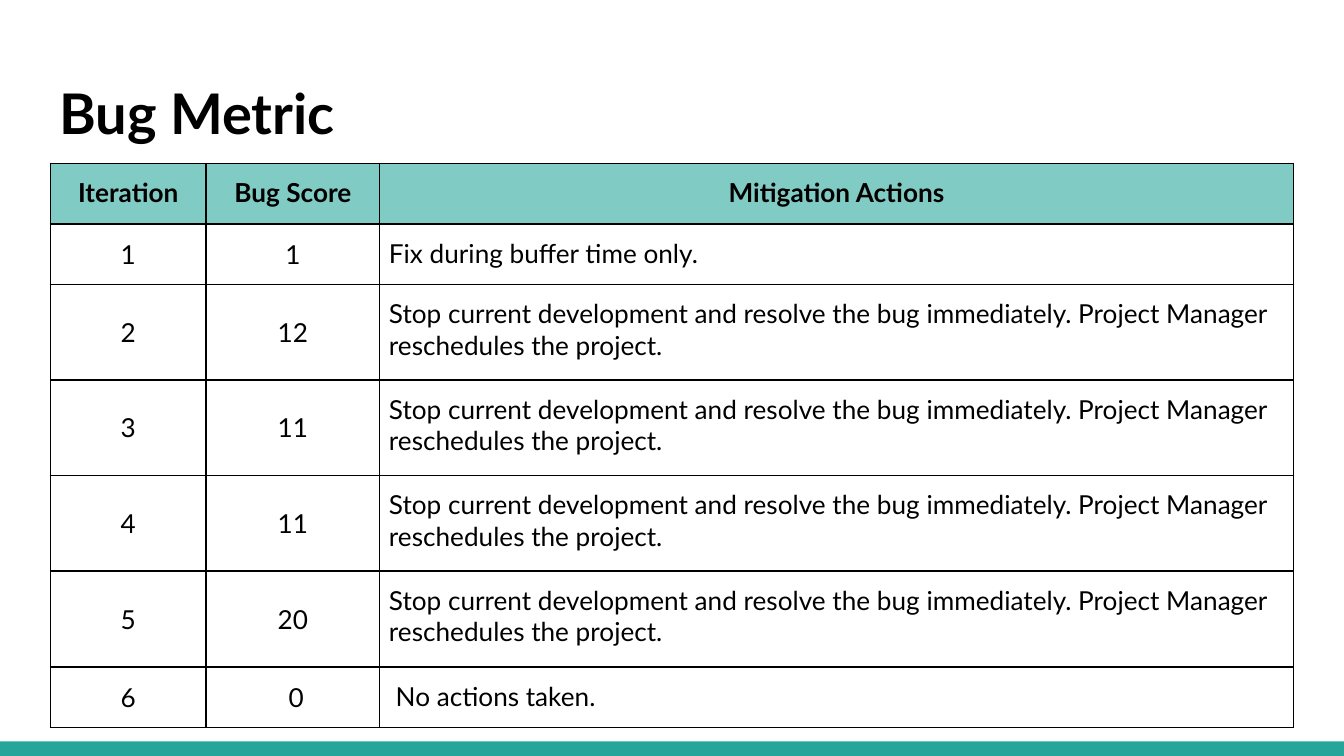
from lxml.etree import SubElement
from pptx import Presentation
from pptx.dml.color import RGBColor
from pptx.enum.shapes import MSO_SHAPE
from pptx.enum.text import MSO_ANCHOR, MSO_AUTO_SIZE, PP_ALIGN
from pptx.oxml.ns import qn
from pptx.util import Pt

FONT = "Lato"
BLACK = "000000"
TEAL = "26A69A"
HEADER_TEAL = "80CBC4"

RESCHEDULE = ("Stop current development and resolve the bug immediately. "
              "Project Manager reschedules the project.")
HEADERS = ("Iteration", "Bug Score", "Mitigation Actions")
ITERATIONS = [
    ("1", "1", "Fix during buffer time only."),
    ("2", "12", RESCHEDULE),
    ("3", "11", RESCHEDULE),
    ("4", "11", RESCHEDULE),
    ("5", "20", RESCHEDULE),
    ("6", " 0", " No actions taken."),
]
COLUMN_WIDTHS = (83.5, 92.9, 489.6)
ONE_LINE_HEIGHT = 32.4
TWO_LINE_HEIGHT = 51.25


def color(hex_string):
    return RGBColor.from_string(hex_string)


def format_paragraph(paragraph, size, bold, alignment):
    paragraph.alignment = alignment
    font = paragraph.font
    font.name = FONT
    font.size = Pt(size)
    font.bold = bold
    font.color.rgb = color(BLACK)


def add_title(slide, left, top, width, height):
    title = slide.shapes.title
    title.left, title.top = Pt(left), Pt(top)
    title.width, title.height = Pt(width), Pt(height)
    frame = title.text_frame
    frame.text = "Bug Metric"
    frame.word_wrap = True
    frame.auto_size = MSO_AUTO_SIZE.NONE
    frame.vertical_anchor = MSO_ANCHOR.TOP
    frame.margin_left = frame.margin_right = Pt(7.2)
    frame.margin_top = frame.margin_bottom = Pt(7.2)
    format_paragraph(frame.paragraphs[0], 30, True, PP_ALIGN.LEFT)


def add_footer_bar(slide, left, top, width, height):
    bar = slide.shapes.add_shape(
        MSO_SHAPE.RECTANGLE, Pt(left), Pt(top), Pt(width), Pt(height))
    bar.shadow.inherit = False
    bar.fill.solid()
    bar.fill.fore_color.rgb = color(TEAL)
    bar.line.fill.background()


def add_borders(cell):
    properties = cell._tc.get_or_add_tcPr()
    for side in ("a:lnL", "a:lnR", "a:lnT", "a:lnB"):
        line = SubElement(properties, qn(side), w=str(Pt(1)))
        fill = SubElement(line, qn("a:solidFill"))
        SubElement(fill, qn("a:srgbClr"), val=BLACK)


def fill_cell(cell, text, is_header, is_action):
    cell.text = text
    cell.margin_left = cell.margin_right = Pt(5)
    cell.margin_top = cell.margin_bottom = Pt(7.2)
    top_anchored = is_header or is_action
    cell.vertical_anchor = MSO_ANCHOR.TOP if top_anchored else MSO_ANCHOR.MIDDLE
    left_aligned = is_action and not is_header
    format_paragraph(cell.text_frame.paragraphs[0], 14, is_header,
                     PP_ALIGN.LEFT if left_aligned else PP_ALIGN.CENTER)
    add_borders(cell)
    if is_header:
        cell.fill.solid()
        cell.fill.fore_color.rgb = color(HEADER_TEAL)
    else:
        cell.fill.background()


def add_bug_table(slide, left, top, width, height):
    rows = [HEADERS, *ITERATIONS]
    table = slide.shapes.add_table(
        len(rows), len(HEADERS), Pt(left), Pt(top), Pt(width), Pt(height)).table
    table.horz_banding = False
    for column, column_width in zip(table.columns, COLUMN_WIDTHS):
        column.width = Pt(column_width)
    for row_index, texts in enumerate(rows):
        two_lines = texts[-1] == RESCHEDULE
        table.rows[row_index].height = Pt(TWO_LINE_HEIGHT if two_lines else ONE_LINE_HEIGHT)
        for column_index, text in enumerate(texts):
            fill_cell(table.cell(row_index, column_index), text,
                      row_index == 0, column_index == len(HEADERS) - 1)


def main():
    presentation = Presentation()
    presentation.slide_width = Pt(720)
    presentation.slide_height = Pt(405)
    slide = presentation.slides.add_slide(presentation.slide_layouts[5])
    add_footer_bar(slide, 0, 397.2, 720, 7.8)
    add_title(slide, 24.5, 35, 671, 48.2)
    add_bug_table(slide, 27, 87.6, 666, 302.2)
    presentation.save("out.pptx")


if __name__ == "__main__":
    main()
